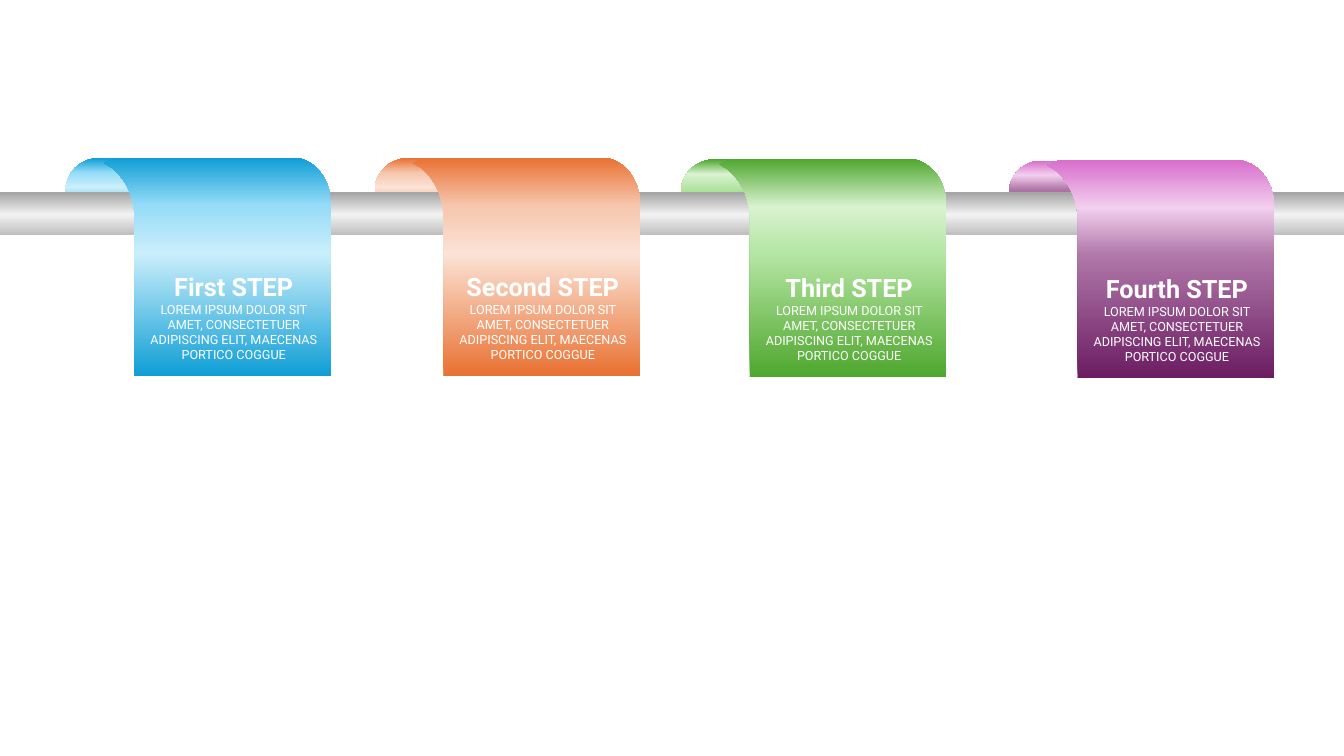
from lxml.etree import SubElement
from pptx import Presentation
from pptx.dml.color import RGBColor
from pptx.enum.shapes import MSO_SHAPE as Shape
from pptx.enum.text import MSO_AUTO_SIZE as AutoSize, PP_ALIGN as Align
from pptx.oxml.ns import qn
from pptx.util import Cm, Pt

BODY = "LOREM IPSUM DOLOR SIT AMET, CONSECTETUER ADIPISCING ELIT, MAECENAS PORTICO COGGUE"
BANNER_STOPS = (0, 56, 78, 100)
# heading, left and top of the banner in cm, colours from bottom to top
STEPS = [
    ("First STEP", 2.62, 3.97, ("0F9ED5", "CAEEFB", "96DCF8", "0F9ED5")),
    ("Second STEP", 10.41, 3.97, ("E97132", "FBE3D6", "F6C6AD", "E97132")),
    ("Third STEP", 18.13, 4.0, ("4EA72E", "B4E5A2", "D9F2D0", "4EA72E")),
    ("Fourth STEP", 26.39, 4.03, ("6B1D62", "AF76A8", "F2CFEE", "D86ECC")),
]
PIPE_STOPS, PIPE_COLOURS = (0, 47, 97), ("BFBFBF", "F2F2F2", "A6A6A6")

# Banner outline in cm: one point is a corner, three points are a curve to the last one
OUTLINE = [
    [(0.46, 0)], [(4.73, 0)],
    [(5.28, 0), (5.72, 0.52), (5.72, 1.16)],
    [(5.72, 5.5)], [(0.76, 5.5)], [(0.77, 5.42)], [(0.77, 1.52)],
    [(0.77, 0.99), (0.54, 0.53), (0.2, 0.26)],
    [(0, 0.14)], [(0.08, 0.09)],
    [(0.2, 0.04), (0.33, 0), (0.46, 0)],
]


def colour(hex_value):
    return RGBColor.from_string(hex_value)


def paint(shape, stops, colours):
    """Fill with a gradient that runs from bottom to top, without line or shadow."""
    shape.shadow.inherit = False
    shape.line.fill.background()
    shape.fill.gradient()
    shape.fill.gradient_angle = 90
    stop_list = shape._element.spPr.find(qn("a:gradFill")).find(qn("a:gsLst"))
    for old_stop in list(stop_list):
        stop_list.remove(old_stop)
    for position, hex_value in zip(stops, colours):
        stop = SubElement(stop_list, qn("a:gs"), pos=str(position * 1000))
        SubElement(stop, qn("a:srgbClr"), val=str(colour(hex_value)))


def add_roll(left, top, colours):
    roll = shapes.add_shape(Shape.ROUND_2_SAME_RECTANGLE,
                            Cm(left - 0.97), Cm(top + 0.02), Cm(2.29), Cm(1.65))
    roll.adjustments[0], roll.adjustments[1] = 0.5, 0
    paint(roll, BANNER_STOPS, colours)


def bend(banner):
    """Turn the straight segments that stand for curves into Bezier curves."""
    segments = list(banner._element.spPr.iter(qn("a:lnTo")))
    for segment, points in zip(segments, OUTLINE[1:]):
        if len(points) == 3:
            segment.tag = qn("a:cubicBezTo")
            for x, y in reversed(points[:2]):
                control = SubElement(segment, qn("a:pt"), x=str(Cm(x)), y=str(Cm(y)))
                segment.insert(0, control)


def add_banner(parent, left, top, colours):
    start, *others = [(Cm(left + x), Cm(top + y)) for x, y in
                      (points[-1] for points in OUTLINE)]
    builder = parent.build_freeform(*start)
    builder.add_line_segments(others, close=True)
    banner = builder.convert_to_shape()
    bend(banner)
    paint(banner, BANNER_STOPS, colours)


def add_label(parent, left, top, heading):
    label = parent.add_textbox(Cm(left + 0.82), Cm(top + 2.74), Cm(4.9), Cm(2.57))
    frame = label.text_frame
    frame.word_wrap = True
    frame.auto_size = AutoSize.SHAPE_TO_FIT_TEXT
    frame.text = f"{heading}\n{BODY}"
    for paragraph, size, bold in zip(frame.paragraphs, (18, 9), (True, False)):
        paragraph.alignment = Align.CENTER
        font = paragraph.runs[0].font
        font.name, font.size, font.bold = "Roboto", Pt(size), bold
        font.color.rgb = colour("FFFFFF")


presentation = Presentation()
presentation.slide_width, presentation.slide_height = Cm(33.87), Cm(19.05)
shapes = presentation.slides.add_slide(presentation.slide_layouts[6]).shapes

for _, left, top, colours in STEPS:
    add_roll(left, top, colours)

pipe = shapes.add_shape(Shape.RECTANGLE, Cm(-2.57), Cm(4.83), Cm(39), Cm(1.09))
paint(pipe, PIPE_STOPS, PIPE_COLOURS)

for heading, left, top, colours in reversed(STEPS):
    step = shapes.add_group_shape().shapes
    add_banner(step, left, top, colours)
    add_label(step, left, top, heading)

presentation.save("out.pptx")
